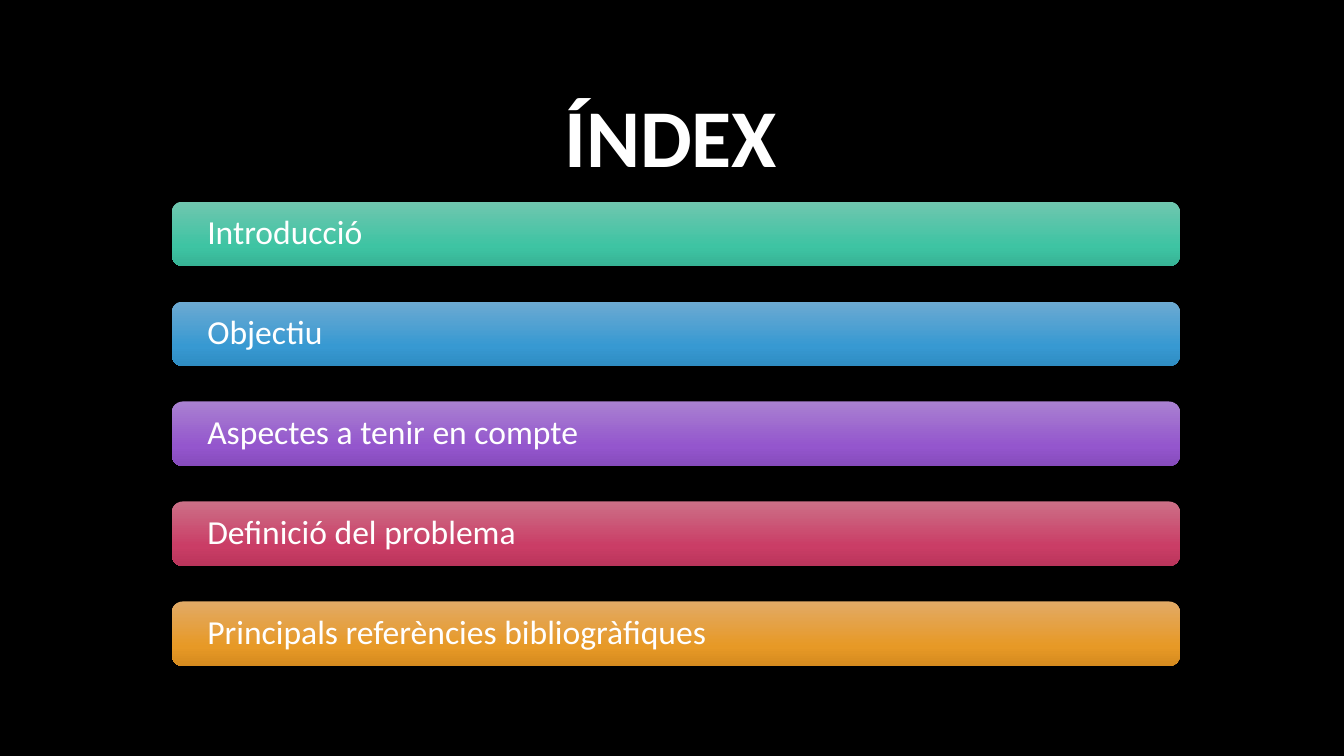
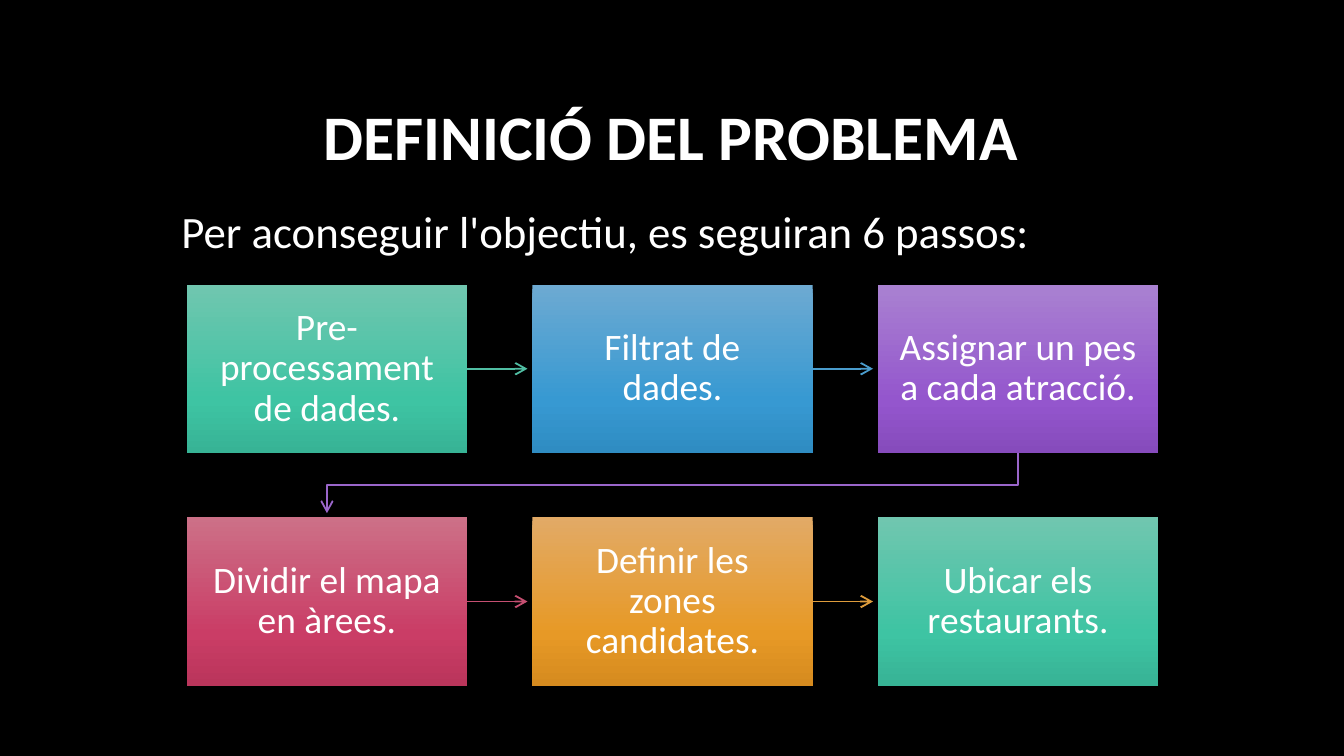
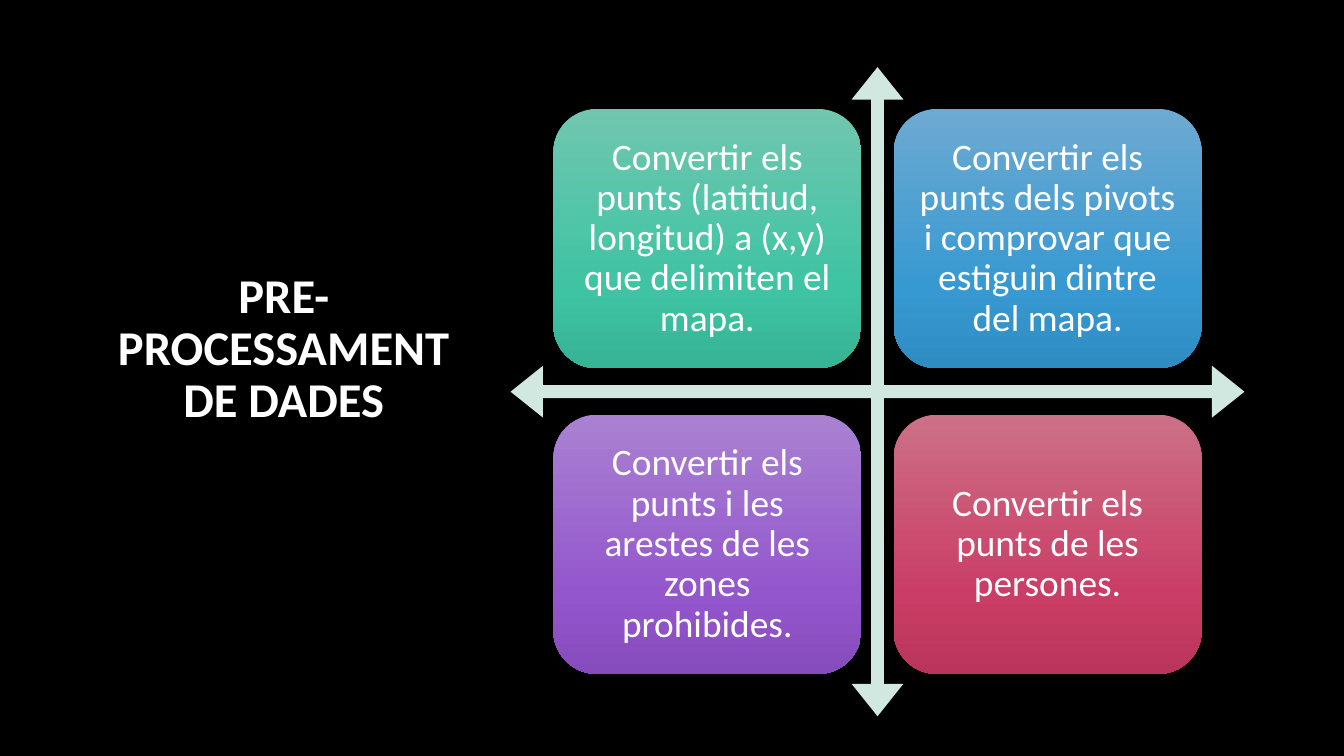
from copy import deepcopy
from dataclasses import dataclass

from pptx import Presentation
from pptx.dml.color import RGBColor
from pptx.enum.shapes import MSO_CONNECTOR, MSO_SHAPE
from pptx.enum.text import MSO_ANCHOR as Anchor, PP_ALIGN as Align
from pptx.oxml.ns import qn
from pptx.util import Cm, Pt
from lxml.etree import SubElement


@dataclass(frozen=True)
class Hue:
    stops: tuple
    line: str


@dataclass(frozen=True)
class Theme:
    font: str = "Calibri"
    background: str = "000000"
    text: str = "FFFFFF"
    axes: str = "D0E8E0"
    title_size: int = 44
    long_title_size: int = 34
    side_title_size: int = 26
    lead_size: int = 24
    box_size: int = 20
    bar_size: int = 18
    line_spacing: float = 0.9
    stop_positions: tuple = (0, 0.69, 1)
    hues: tuple = (
        Hue(("70C6AF", "3EC4A3", "37B395"), "50BEA3"),
        Hue(("6DAAD2", "3799D2", "2F8CC2"), "4A9CCC"),
        Hue(("A981D1", "9456CD", "864BBC"), "9A66CA"),
        Hue(("CC7087", "CA3D66", "BA355B"), "C54F71"),
        Hue(("E2AA66", "E79926", "D68B1F"), "DE9C3C"),
    )

    def hue(self, index):
        return self.hues[index % len(self.hues)]


class Slides:
    def __init__(self, theme):
        self.theme = theme
        self.deck = Presentation()
        self.deck.slide_width, self.deck.slide_height = Cm(25.4), Cm(14.29)
        self.page = None

    def new_page(self):
        self.page = self.deck.slides.add_slide(self.deck.slide_layouts[6])
        fill = self.page.background.fill
        fill.solid()
        fill.fore_color.rgb = RGBColor.from_string(self.theme.background)

    def set_text(self, box, text, size, align=Align.CENTER, bold=False, spacing=None):
        frame = box.text_frame
        frame.word_wrap = True
        frame.text = text
        para = frame.paragraphs[0]
        para.alignment = align
        para.line_spacing = spacing or self.theme.line_spacing
        for span in para.runs:
            span.font.name = self.theme.font
            span.font.size = Pt(size)
            span.font.bold = bold
            span.font.color.rgb = RGBColor.from_string(self.theme.text)
        return frame

    def title(self, text, size, left=1.9, top=1.27, width=21.56, height=2.77):
        box = self.page.shapes.add_textbox(Cm(left), Cm(top), Cm(width), Cm(height))
        frame = self.set_text(box, text, size, bold=True)
        frame.vertical_anchor = Anchor.MIDDLE
        return frame

    def lead(self, text, left, top, width, height):
        box = self.page.shapes.add_textbox(Cm(left), Cm(top), Cm(width), Cm(height))
        self.set_text(box, text, self.theme.lead_size, Align.LEFT, spacing=1.0)

    def shape(self, kind, left, top, width, height):
        box = self.page.shapes.add_shape(kind, Cm(left), Cm(top), Cm(width), Cm(height))
        box.shadow.inherit = False
        box.line.fill.background()
        return box

    def gradient(self, box, colors):
        box.fill.gradient()
        box.fill.gradient_angle = 270
        stop_list = box._element.spPr.find(qn("a:gradFill")).find(qn("a:gsLst"))
        stop_list.append(deepcopy(stop_list[-1]))
        stops = box.fill.gradient_stops
        for stop, position, color in zip(stops, self.theme.stop_positions, colors):
            stop.position = position
            stop.color.rgb = RGBColor.from_string(color)

    def card(self, kind, hue, text, place, size, side_inset, end_inset, align=Align.CENTER):
        box = self.shape(kind, *place)
        self.gradient(box, hue.stops)
        frame = self.set_text(box, text, size, align)
        frame.vertical_anchor = Anchor.MIDDLE
        frame.margin_left = frame.margin_right = Cm(side_inset)
        frame.margin_top = frame.margin_bottom = Cm(end_inset)
        return box

    def cross(self, left, top, width, height):
        arrows = self.shape(MSO_SHAPE.QUAD_ARROW, left, top, width, height)
        for index, value in enumerate((0.02, 0.04, 0.05)):
            arrows.adjustments[index] = value
        arrows.fill.solid()
        arrows.fill.fore_color.rgb = RGBColor.from_string(self.theme.axes)

    def arrowhead(self, item, color):
        item.line.color.rgb = RGBColor.from_string(color)
        item.line.width = Pt(1)
        properties = item._element.spPr
        SubElement(properties.find(qn("a:ln")), qn("a:tailEnd"), type="arrow")
        if properties.find(qn("a:effectLst")) is None:
            SubElement(properties, qn("a:effectLst"))

    def arrow_right(self, box, length, color):
        start, middle = box.left + box.width, box.top + box.height // 2
        arrow = self.page.shapes.add_connector(
            MSO_CONNECTOR.STRAIGHT, start, middle, start + Cm(length), middle)
        arrow.begin_connect(box, 3)
        self.arrowhead(arrow, color)

    def arrow_back(self, source, target, gap, color):
        start_x = source.left + source.width // 2
        start_y = source.top + source.height
        end_x = target.left + target.width // 2
        middle_y = (start_y + target.top) // 2
        builder = self.page.shapes.build_freeform(start_x, start_y)
        builder.add_line_segments(
            [(start_x, middle_y), (end_x, middle_y), (end_x, target.top - Cm(gap))],
            close=False)
        arrow = builder.convert_to_shape()
        arrow.shadow.inherit = False
        arrow.fill.background()
        self.arrowhead(arrow, color)


def index_page(slides):
    theme = slides.theme
    slides.new_page()
    slides.title("ÍNDEX", theme.title_size)
    topics = ("Introducció", "Objectiu", "Aspectes a tenir en compte",
              "Definició del problema", "Principals referències bibliogràfiques")
    for row, topic in enumerate(topics):
        slides.card(MSO_SHAPE.ROUNDED_RECTANGLE, theme.hue(row), topic,
                    (3.25, 3.81 + 1.89 * row, 19.05, 1.22),
                    theme.bar_size, 0.61, 0, Align.LEFT)


def problem_page(slides):
    theme = slides.theme
    slides.new_page()
    slides.title("DEFINICIÓ DEL PROBLEMA", theme.long_title_size)
    slides.lead("Per aconseguir l'objectiu, es seguiran 6 passos:", 3.18, 3.73, 18.8, 1.27)
    steps = ("Pre-processament de dades.", "Filtrat de dades.",
             "Assignar un pes a cada atracció.", "Dividir el mapa en àrees.",
             "Definir les zones candidates.", "Ubicar els restaurants.")
    boxes = []
    for index, step in enumerate(steps):
        row, column = divmod(index, 3)
        box = slides.card(MSO_SHAPE.RECTANGLE, theme.hue(index), step,
                          (3.53 + 6.53 * column, 5.38 + 4.4 * row, 5.3, 3.18),
                          theme.box_size, 0.41, 0.41)
        boxes.append(box)
        if column < 2:
            slides.arrow_right(box, 1.14, theme.hue(index).line)
    slides.arrow_back(boxes[2], boxes[3], 0.08, theme.hue(2).line)


def preprocessing_page(slides):
    theme = slides.theme
    slides.new_page()
    frame = slides.title("PRE-PROCESSAMENT DE DADES", theme.side_title_size,
                         left=1.57, width=7.59, height=11.68)
    frame.margin_bottom = Cm(1.12)
    slides.cross(9.65, 1.27, 13.87, 12.27)
    tasks = ("Convertir els punts (latitiud, longitud) a (x,y) que delimiten el mapa.",
             "Convertir els punts dels pivots i comprovar que estiguin dintre del mapa.",
             "Convertir els punts i les arestes de les zones prohibides.",
             "Convertir els punts de les persones.")
    for index, task in enumerate(tasks):
        row, column = divmod(index, 2)
        slides.card(MSO_SHAPE.ROUNDED_RECTANGLE, theme.hue(index), task,
                    (10.46 + 6.43 * column, 2.06 + 5.78 * row, 5.82, 4.9),
                    theme.box_size, 0.2, 0.2)


def main():
    slides = Slides(Theme())
    index_page(slides)
    problem_page(slides)
    preprocessing_page(slides)
    slides.deck.save("out.pptx")


if __name__ == "__main__":
    main()
